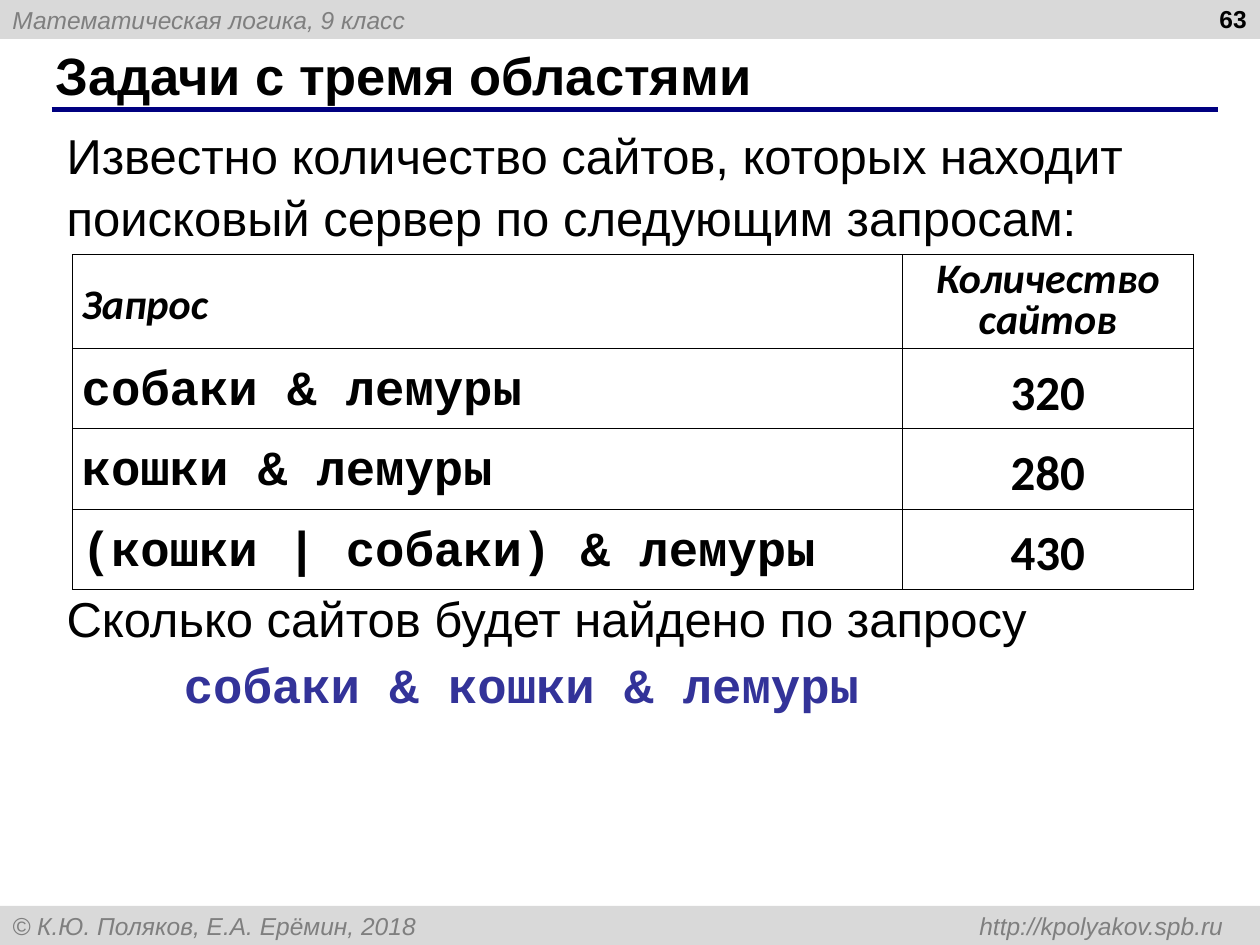
from lxml.etree import SubElement
from pptx import Presentation
from pptx.dml.color import RGBColor
from pptx.enum.shapes import MSO_CONNECTOR as CONN, MSO_SHAPE as SHAPE
from pptx.enum.text import MSO_ANCHOR as ANCHOR, PP_ALIGN as ALIGN
from pptx.oxml.ns import qn
from pptx.util import Pt


def color(value):
    return RGBColor.from_string(value)


def write(p, text, size, name="Arial", fill="000000", bold=False, italic=False):
    p.add_run().text = text
    f = p.font
    f.size, f.name, f.bold, f.italic = Pt(size), name, bold, italic
    f.color.rgb = color(fill)


prs = Presentation()
prs.slide_width, prs.slide_height = Pt(720), Pt(540)
s = prs.slides.add_slide(prs.slide_layouts[6])

bars = [
    (0, "Математическая логика, 9 класс"),
    (517.7, "© К.Ю. Поляков, Е.А. Ерёмин, 2018\thttp://kpolyakov.spb.ru"),
]
for top, text in bars:
    sp = s.shapes.add_shape(SHAPE.RECTANGLE, 0, Pt(top), Pt(720), Pt(22.3))
    sp.shadow.inherit = False
    sp.fill.solid()
    sp.fill.fore_color.rgb = color("D9D9D9")
    sp.line.fill.background()
    tf = sp.text_frame
    tf.vertical_anchor = ANCHOR.MIDDLE
    p = tf.paragraphs[0]
    p.alignment = ALIGN.LEFT
    if "\t" in text:
        tabs = SubElement(p._p.get_or_add_pPr(), qn("a:tabLst"))
        SubElement(tabs, qn("a:tab"), pos=str(Pt(692)), algn="r")
    write(p, text, 14, fill="7F7F7F", italic=True)

rule = s.shapes.add_connector(CONN.STRAIGHT, Pt(29.5), Pt(62.5), Pt(696), Pt(62.5))
rule.line.color.rgb = color("000080")
rule.line.width = Pt(3)
SubElement(rule._element.spPr, qn("a:effectLst"))

boxes = [
    (24.5, 24, 659.5, 37.5, "Задачи с тремя областями", 30, True, ALIGN.LEFT),
    (551.5, -1.5, 168, 37.5, "63", 14, True, ALIGN.RIGHT),
    (31, 66.5, 661.5, 76, "Известно количество сайтов, которых находит "
     "поисковый сервер по следующим запросам:", 28, False, ALIGN.LEFT),
    (31, 331, 661.5, 76, "Сколько сайтов будет найдено по запросу", 28, False, ALIGN.LEFT),
]
for left, top, width, height, text, size, bold, align in boxes:
    tf = s.shapes.add_textbox(Pt(left), Pt(top), Pt(width), Pt(height)).text_frame
    tf.word_wrap = True
    p = tf.paragraphs[0]
    p.alignment = align
    if size == 28:
        p.line_spacing = 1.05
    if size == 30:
        tf.vertical_anchor = ANCHOR.MIDDLE
    write(p, text, size, bold=bold)

p = tf.add_paragraph()
p._p.get_or_add_pPr().set("marL", str(Pt(67)))
p.space_before = Pt(4)
write(p, "собаки & кошки & лемуры", 28, "Courier New", "333399", True)

rows = [
    ("Запрос", "Количество сайтов"),
    ("собаки & лемуры", "320"),
    ("кошки & лемуры", "280"),
    ("(кошки | собаки) & лемуры", "430"),
]
table = s.shapes.add_table(4, 2, Pt(41.3), Pt(145.5), Pt(640.5), Pt(191)).table
table.first_row = table.horz_banding = False
for col, width in zip(table.columns, (474.5, 166)):
    col.width = Pt(width)
for i, row in enumerate(rows):
    table.rows[i].height = Pt(45.8 if i else 53.6)
    for j, text in enumerate(row):
        cell = table.cell(i, j)
        cell.vertical_anchor = ANCHOR.MIDDLE
        cell.margin_left = cell.margin_right = Pt(5.4)
        tcPr = cell._tc.get_or_add_tcPr()
        for side in ("lnL", "lnR", "lnT", "lnB"):
            ln = SubElement(tcPr, qn("a:" + side), w=str(Pt(0.45)))
            SubElement(SubElement(ln, qn("a:solidFill")), qn("a:srgbClr"), val="000000")
        cell.fill.background()
        p = cell.text_frame.paragraphs[0]
        p.alignment = ALIGN.CENTER if j else ALIGN.LEFT
        p.line_spacing = 0.8 if (i, j) == (0, 1) else 1.15
        name = "Courier New" if i and not j else "Calibri"
        write(p, text, 28 if i else 24, name, bold=True, italic=not i)

prs.save("out.pptx")
